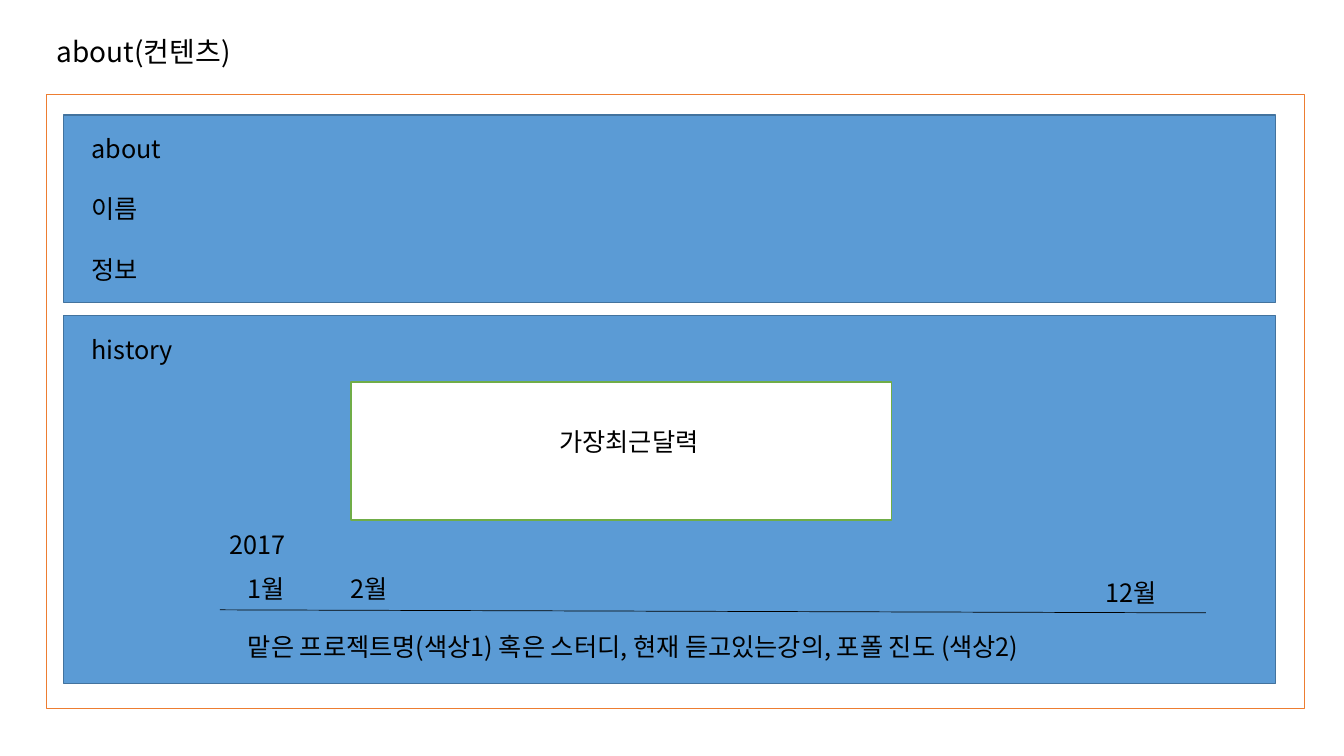
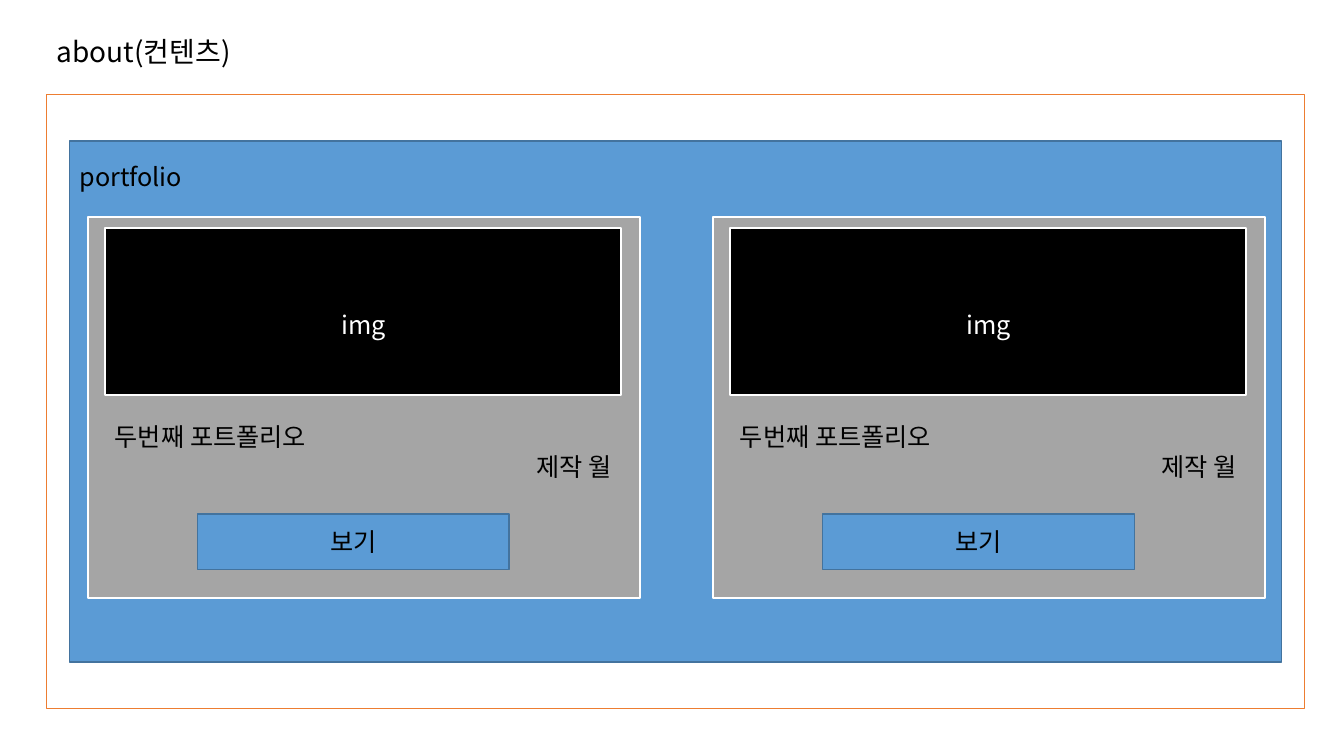
from lxml.etree import SubElement
from pptx import Presentation
from pptx.dml.color import RGBColor
from pptx.enum.shapes import MSO_CONNECTOR, MSO_SHAPE
from pptx.enum.text import MSO_ANCHOR as Anchor, MSO_AUTO_SIZE as AutoSize, PP_ALIGN as Align
from pptx.oxml.ns import qn
from pptx.util import Pt

PX = 9144  # EMU per px, 100 px to the inch
FONT = "Noto Sans CJK KR"
LINE_HEIGHT = 21.6
COLORS = {
    "white": "FFFFFF",
    "black": "000000",
    "blue": "5B9BD5",
    "navy": "43739E",
    "orange": "ED7D31",
    "green": "70AD47",
    "gray": "A5A5A5",
}


def color(name):
    return RGBColor.from_string(COLORS[name])


def emu(*lengths):
    return [length * PX for length in lengths]


class Wireframe:
    """Holds the deck, its style and the current slide."""

    def __init__(self):
        self.deck = Presentation()
        self.deck.slide_width, self.deck.slide_height = emu(1333, 750)
        self.page = None

    def style(self, para, size=18, ink="black", align=Align.LEFT):
        para.alignment = align
        para.font.size = Pt(size)
        para.font.color.rgb = color(ink)
        para.font.name = FONT
        defaults = para._p.pPr.find(qn("a:defRPr"))
        SubElement(defaults, qn("a:ea"), typeface=FONT)

    def add_page(self, title):
        self.page = self.deck.slides.add_slide(self.deck.slide_layouts[5])
        box = self.page.shapes.title
        box.left, box.top, box.width, box.height = emu(46, 13, 1150, 81)
        box.text_frame.text = title
        box.text_frame.vertical_anchor = Anchor.MIDDLE
        para = box.text_frame.paragraphs[0]
        para.line_spacing = 0.9
        self.style(para, size=20)
        self.rect(46, 94, 1248, 609, "white", "orange")

    def rect(self, left, top, width, height, fill="blue", line="navy", weight=1):
        box = self.page.shapes.add_shape(
            MSO_SHAPE.RECTANGLE, *emu(left, top, width, height))
        box.shadow.inherit = False
        box.fill.solid()
        box.fill.fore_color.rgb = color(fill)
        box.line.color.rgb = color(line)
        box.line.width = Pt(weight)

    def text(self, left, top, width, *lines, height=40, ink="black",
             aligns=(), gap=0, wrap=True):
        box = self.page.shapes.add_textbox(*emu(left, top, width, height))
        frame = box.text_frame
        frame.word_wrap = wrap
        frame.auto_size = AutoSize.SHAPE_TO_FIT_TEXT
        frame.text = "\n".join(lines)
        for index, para in enumerate(frame.paragraphs):
            para.line_spacing = Pt(LINE_HEIGHT)
            if index and gap:
                para.space_before = Pt(gap)
            self.style(para, ink=ink, align=aligns[index] if aligns else Align.LEFT)

    def line(self, left, top, right, bottom):
        rule = self.page.shapes.add_connector(
            MSO_CONNECTOR.STRAIGHT, *emu(left, top, right, bottom))
        rule.line.color.rgb = color("black")
        rule.line.width = Pt(0.5)
        SubElement(rule._element.spPr, qn("a:effectLst"))

    def portfolio_card(self, left):
        inner = left + 17
        self.rect(left, 215, 548, 378, "gray", "white", 1.5)
        self.text(inner, 413, 512, "두번째 포트폴리오", "제작 월",
                  height=71, aligns=(Align.LEFT, Align.RIGHT))
        # View button
        self.rect(left + 109, 510, 309, 55)
        self.text(left + 231, 517, 71, "보기", wrap=False)
        # Image area
        self.rect(inner, 226, 512, 166, "black", "white", 1.5)
        self.text(left + 242, 302, 64, "img", ink="white", wrap=False)


def build_about(frame):
    frame.add_page("about(컨텐츠)")

    # About panel
    frame.rect(63, 114, 1202, 186)
    frame.text(81, 127, 842, "about", "이름", "정보", height=162, gap=LINE_HEIGHT)

    # History panel with the latest calendar
    frame.rect(63, 313, 1202, 365)
    frame.text(81, 327, 842, "history")
    frame.rect(348, 379, 536, 137, "white", "green")
    frame.text(545, 418, 186, "가장최근달력")

    # Timeline
    frame.line(218, 605, 1196, 608)
    labels = [(218, 520, "2017"), (236, 564, "1월"),
              (338, 564, "2월"), (1087, 568, "12월")]
    for left, top, label in labels:
        frame.text(left, top, 85, label)
    frame.text(236, 621, 979,
               "맡은 프로젝트명(색상1) 혹은 스터디, 현재 듣고있는강의, 포폴 진도 (색상2)")


def build_portfolio(frame):
    frame.add_page("about(컨텐츠)")
    frame.rect(69, 140, 1202, 517)
    frame.text(69, 155, 842, "portfolio")
    for column in range(2):
        frame.portfolio_card(87 + column * 620)


def main():
    frame = Wireframe()
    build_about(frame)
    build_portfolio(frame)
    frame.deck.save("out.pptx")


if __name__ == "__main__":
    main()
